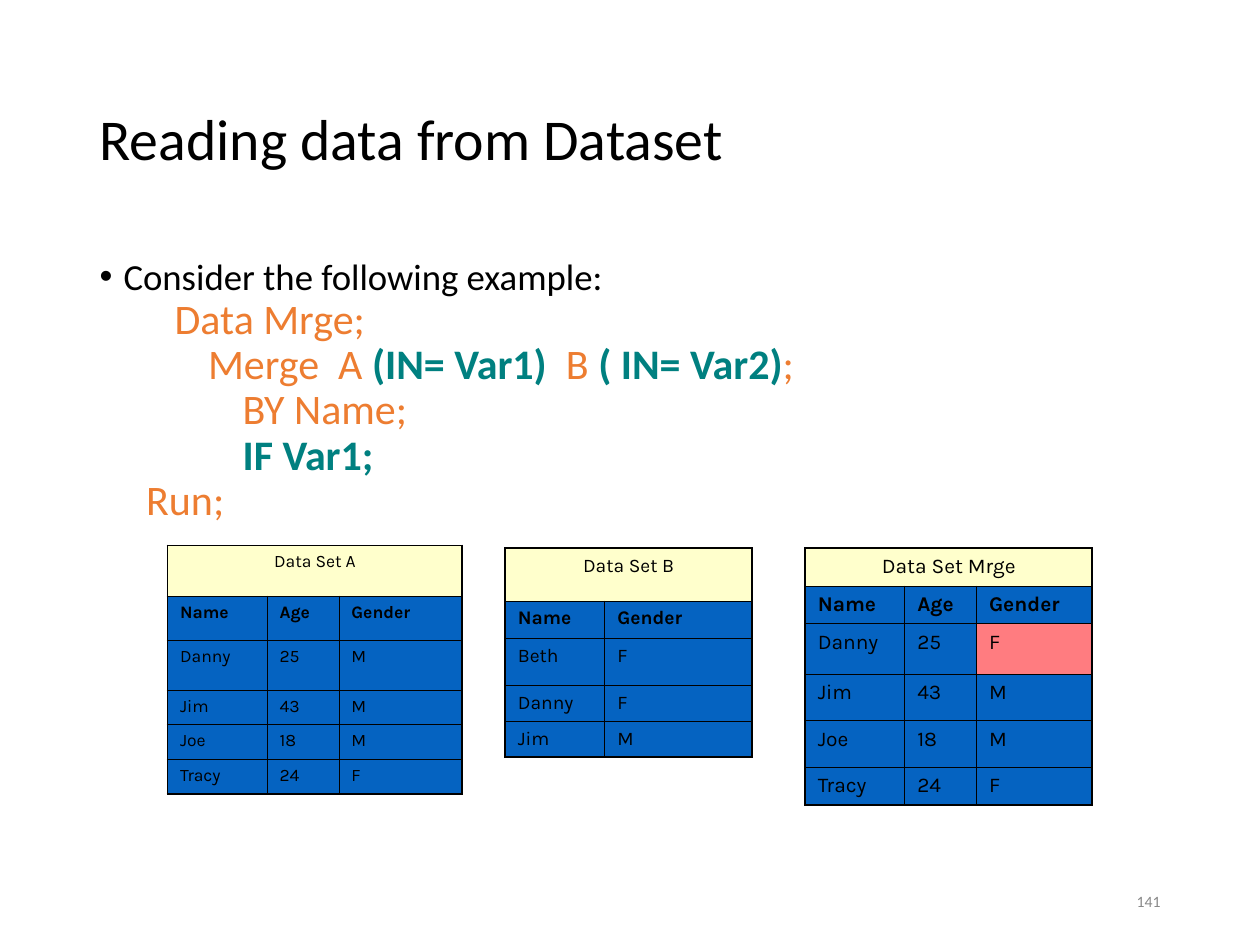
import pptx
import pptx.dml.color
import pptx.enum.text
import pptx.oxml.ns
import pptx.util
from lxml import etree

Inches = pptx.util.Inches
Pt = pptx.util.Pt
ALIGN = pptx.enum.text.PP_ALIGN
ANCHOR = pptx.enum.text.MSO_ANCHOR

BLACK, GRAY, ORANGE, TEAL = "000000", "898989", "ED7D31", "008080"
CREAM, BLUE, PINK = "FFFFCC", "0563C1", "FF7C80"
THIN, THICK = 0.45, 1.08


def color(value):
    return pptx.dml.color.RGBColor.from_string(value)


def add_element(parent, tag, **attributes):
    element = etree.SubElement(parent, pptx.oxml.ns.qn(tag))
    for name, value in attributes.items():
        element.set(name, str(value))
    return element


class SlideBuilder:
    """Holds the style and the slide being built."""

    text_font = "Calibri"
    table_font = "Karla"

    def __init__(self, slide):
        self.slide = slide

    def style(self, font, size, hex_color, bold=False, name=None):
        font.name = name or self.text_font
        font.size = Pt(size)
        font.bold = bold
        font.color.rgb = color(hex_color)

    def place(self, shape, left, top, width, height):
        shape.left, shape.top = Inches(left), Inches(top)
        shape.width, shape.height = Inches(width), Inches(height)

    def title(self, text, box):
        shape = self.slide.shapes.title
        self.place(shape, *box)
        shape.text_frame.text = text
        shape.text_frame.vertical_anchor = ANCHOR.MIDDLE
        paragraph = shape.text_frame.paragraphs[0]
        paragraph.alignment = ALIGN.LEFT
        paragraph.line_spacing = 0.9
        self.style(paragraph.runs[0].font, 33, BLACK)

    def indent(self, paragraph, margin, bullet, first_tab):
        properties = paragraph._p.get_or_add_pPr()
        properties.set("marL", str(Inches(margin)))
        properties.set("indent", str(Inches(-0.19)))
        if bullet:
            add_element(properties, "a:buChar", char=bullet)
        else:
            add_element(properties, "a:buNone")
        tabs = add_element(properties, "a:tabLst")
        for step in range(8):
            add_element(tabs, "a:tab", pos=Inches(first_tab + 0.75 * step), algn="l")

    def body(self, lead, code_lines, box):
        shape = self.slide.placeholders[1]
        self.place(shape, *box)
        frame = shape.text_frame
        frame.text = lead
        paragraph = frame.paragraphs[0]
        self.indent(paragraph, 0.19, "•", 0.75)
        self.style(paragraph.runs[0].font, 21, BLACK)
        for line in code_lines:
            paragraph = frame.add_paragraph()
            paragraph.level = 1
            self.indent(paragraph, 0.56, None, 0)
            for text, hex_color in line:
                run = paragraph.add_run()
                run.text = text
                self.style(run.font, 24, hex_color, bold=hex_color == TEAL)
        for paragraph in frame.paragraphs:
            paragraph.line_spacing = 0.9
            paragraph.space_before = Pt(0)

    def page_number(self, text, box):
        shape = self.slide.shapes.add_textbox(*map(Inches, box))
        frame = shape.text_frame
        frame.word_wrap = True
        frame.vertical_anchor = ANCHOR.MIDDLE
        frame.text = text
        frame.paragraphs[0].alignment = ALIGN.RIGHT
        self.style(frame.paragraphs[0].runs[0].font, 9, GRAY)

    def borders(self, cell, outer_sides):
        properties = cell._tc.get_or_add_tcPr()
        for side in "LRTB":
            width = THICK if side in outer_sides else THIN
            line = add_element(properties, f"a:ln{side}", w=Pt(width))
            fill = add_element(line, "a:solidFill")
            add_element(fill, "a:srgbClr", val=BLACK)

    def table(self, caption, rows, left, top, widths, heights, size, highlight=None):
        grid = [[caption] + [""] * (len(widths) - 1)] + rows
        last_row, last_column = len(grid) - 1, len(widths) - 1
        frame = self.slide.shapes.add_table(
            len(grid), len(widths), Inches(left), Inches(top),
            Inches(sum(widths)), Inches(sum(heights)))
        table = frame.table
        table.first_row = table.horz_banding = False
        for column, width in zip(table.columns, widths):
            column.width = Inches(width)
        for row, height in zip(table.rows, heights):
            row.height = Inches(height)
        table.cell(0, 0).merge(table.cell(0, last_column))

        for r, values in enumerate(grid):
            for c, value in enumerate(values):
                cell = table.cell(r, c)
                edges = {"L": c == 0 or r == 0, "R": c == last_column or r == 0,
                         "T": r == 0, "B": r == last_row}
                self.borders(cell, [side for side in edges if edges[side]])
                cell.fill.solid()
                fill = CREAM if r == 0 else PINK if (r, c) == highlight else BLUE
                cell.fill.fore_color.rgb = color(fill)
                if not value:
                    continue
                cell.text_frame.text = value
                paragraph = cell.text_frame.paragraphs[0]
                paragraph.alignment = ALIGN.CENTER if r == 0 else ALIGN.LEFT
                self.style(paragraph.runs[0].font, size, BLACK, r == 1, self.table_font)


def main():
    presentation = pptx.Presentation()
    presentation.slide_width, presentation.slide_height = Inches(10), Inches(7.5)
    builder = SlideBuilder(presentation.slides.add_slide(presentation.slide_layouts[1]))

    # Title and code example
    builder.title("Reading data from Dataset", (0.69, 0.4, 8.63, 1.45))
    code_lines = [
        [("   Data Mrge;", ORANGE)],
        [("\t    Merge  A ", ORANGE), ("(IN= Var1)", TEAL), ("  B ", ORANGE),
         ("( IN= Var2)", TEAL), (";", ORANGE)],
        [("\t\t ", TEAL), ("BY Name;", ORANGE)],
        [("\t\t IF Var1;", TEAL)],
        [("Run;", ORANGE)],
    ]
    builder.body("Consider the following example:", code_lines, (0.69, 2, 8.63, 4.76))
    builder.page_number("141", (7.06, 6.95, 2.25, 0.4))

    # Input data sets and the merged result
    header = ["Name", "Age", "Gender"]
    others = [["Jim", "43", "M"], ["Joe", "18", "M"], ["Tracy", "24", "F"]]
    builder.table("Data Set A", [header, ["Danny", "25", "M"]] + others,
                  1.33, 4.33, [0.79, 0.57, 0.98],
                  [0.4, 0.35, 0.4, 0.27, 0.28, 0.27], 10)
    builder.table("Data Set B",
                  [["Name", "Gender"], ["Beth", "F"], ["Danny", "F"], ["Jim", "M"]],
                  4.01, 4.35, [0.79, 1.17], [0.42, 0.3, 0.37, 0.28, 0.28], 11)
    builder.table("Data Set Mrge", [header, ["Danny", "25", "F"]] + others,
                  6.39, 4.35, [0.79, 0.57, 0.92],
                  [0.3, 0.3, 0.4, 0.37, 0.37, 0.3], 12, highlight=(2, 2))

    presentation.save("out.pptx")


if __name__ == "__main__":
    main()
